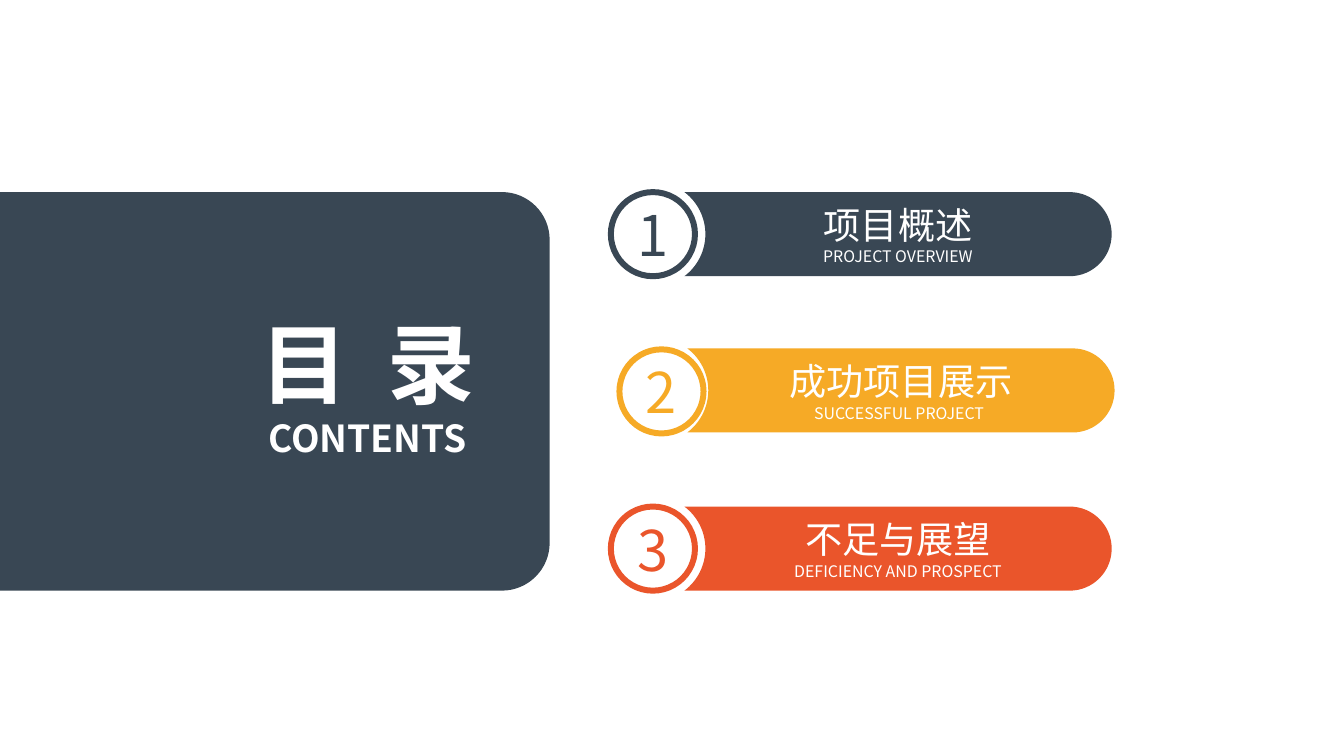
from math import asin, cos, degrees, radians, sin, tan

from lxml import etree
from pptx import Presentation
from pptx.dml.color import RGBColor
from pptx.enum.shapes import MSO_SHAPE
from pptx.enum.text import MSO_ANCHOR, MSO_AUTO_SIZE, PP_ALIGN
from pptx.oxml.ns import qn
from pptx.util import Inches, Pt

OVAL = MSO_SHAPE.OVAL
MID, TOP = MSO_ANCHOR.MIDDLE, MSO_ANCHOR.TOP
CENTER, FIXED = PP_ALIGN.CENTER, MSO_AUTO_SIZE.NONE

# Content: heading, subtitle, colour, then (x, y) shifts of bar and disc
TITLE = ("目 ", "录")
SUB = "CONTENTS"
ITEMS = [
    ("项目概述", "PROJECT OVERVIEW", "navy", (0, 0), (0, 0)),
    ("成功项目展示", "SUCCESSFUL PROJECT ", "gold", (0.03, -0.01), (0.09, 0)),
    ("不足与展望", "DEFICIENCY AND PROSPECT", "red", (0, 0), (0, 0)),
]

THEME = {
    "font": "Noto Sans CJK SC",
    "navy": "394754", "gold": "F6AA26", "red": "EA552B", "white": "FFFFFF",
    "title": 66, "number": 42.2, "head": 28, "small": 12, "ring": 4.5, "gap": 14.8,
}

# Layout in inches
WIDE, HIGH = 14.06, 7.91
ROWTOP, ROWEND = 2.01, 6.18
PANEL, CURVE = 5.75, 0.5
BARX, BARW, SIZE = 7.16, 4.47, 0.88
DISCX = 6.39
NOTCH = 0.55
STEP = (ROWEND - ROWTOP - SIZE) / (len(ITEMS) - 1)


def color(name):
    return RGBColor.from_string(THEME[name])


def text(shape, lines, ink="white", bold=False, anchor=MID, gap=0):
    """Each line is (size key, run, run, ...); gap widens the space in a run."""
    frame = shape.text_frame
    frame.auto_size, frame.word_wrap = FIXED, True
    frame.vertical_anchor = anchor
    frame.margin_left = frame.margin_right = 0
    frame.margin_top = frame.margin_bottom = 0
    for i, (size, *words) in enumerate(lines):
        para = frame.add_paragraph() if i else frame.paragraphs[0]
        para.alignment, para.space_before = CENTER, Pt(0)
        for word in words:
            run = para.add_run()
            run.text = word
            font = run.font
            font.name, font.size, font.bold = THEME["font"], Pt(THEME[size]), bold
            font.color.rgb = color(ink)
            props = run._r.get_or_add_rPr()
            east = etree.SubElement(props, qn("a:ea"))
            east.set("typeface", THEME["font"])
            if gap and word.endswith(" "):
                props.set("spc", str(round(gap * 100 / len(word))))


def paint(shape, fill, line=None):
    shape.shadow.inherit = False
    shape.fill.solid()
    shape.fill.fore_color.rgb = color(fill)
    if line:
        shape.line.color.rgb = color(line)
        shape.line.width = Pt(THEME["ring"])
    else:
        shape.line.fill.background()


def arc(x, y, r, *turns):
    """A line to the first angle, then one Bezier curve to each next angle."""
    def spot(turn, pull=0):
        c, s = cos(radians(turn)), sin(radians(turn))
        return x + r * (c - pull * s), y + r * (s + pull * c)

    steps = [[spot(turns[0])]]
    for a, b in zip(turns, turns[1:]):
        pull = 4 / 3 * tan(radians(b - a) / 4)
        steps.append([spot(a, pull), spot(b, -pull), spot(b)])
    return steps


def outline(steps, fill):
    """A step of one point is a line, a step of three points a curve."""
    spots = [(Inches(x), Inches(y)) for step in steps for x, y in step]
    pen = slide.shapes.build_freeform(*spots[0], scale=1.0)
    pen.add_line_segments(spots[1:], close=True)
    shape = pen.convert_to_shape()
    legs = iter(list(shape.element.iter(qn("a:lnTo"))))
    for step in steps[1:]:
        group = [next(legs) for point in step]
        if len(group) == 3:
            bend = etree.Element(qn("a:cubicBezTo"))
            group[0].addprevious(bend)
            for leg in group:
                bend.append(leg[0])
                leg.getparent().remove(leg)
    paint(shape, fill)
    return shape


def place(shape, *box):
    shape.left, shape.top, shape.width, shape.height = map(Inches, box)


deck = Presentation()
deck.slide_width, deck.slide_height = Inches(WIDE), Inches(HIGH)
slide = deck.slides.add_slide(deck.slide_layouts[0])
title, sub = slide.placeholders

# Left panel, set behind the title
edge = PANEL - CURVE
panel = outline(
    [[(0, ROWTOP)]]
    + arc(edge, ROWTOP + CURVE, CURVE, -90, 0)
    + arc(edge, ROWEND - CURVE, CURVE, 0, 90)
    + [[(0, ROWEND)]], "navy")
title.element.addprevious(panel.element)

# Title and subtitle
place(title, 2.28, 3.24, 3.14, 1.11)
text(title, [("title", *TITLE)], bold=True, gap=THEME["gap"])
place(sub, 2.29, 4.35, 3.11, 0.47)
text(sub, [("head", SUB)], bold=True, anchor=TOP)

# Rows: notched bar and numbered disc
half = SIZE / 2
slant = degrees(asin(half / NOTCH))
inset = NOTCH * cos(radians(slant))
for i, (head, small, hue, (barx, bary), (discx, discy)) in enumerate(ITEMS):
    top = ROWTOP + i * STEP
    left, mid = BARX + barx, top + bary + half
    bar = outline(
        arc(left + BARW - half, mid, half, -90, 0, 90)
        + arc(left - inset, mid, NOTCH, slant, 0, -slant), hue)
    text(bar, [("head", head), ("small", small)])

    disc = slide.shapes.add_shape(
        OVAL, Inches(DISCX + discx), Inches(top + discy), Inches(SIZE), Inches(SIZE))
    paint(disc, "white", hue)
    text(disc, [("number", str(i + 1))], ink=hue)

deck.save("out.pptx")
